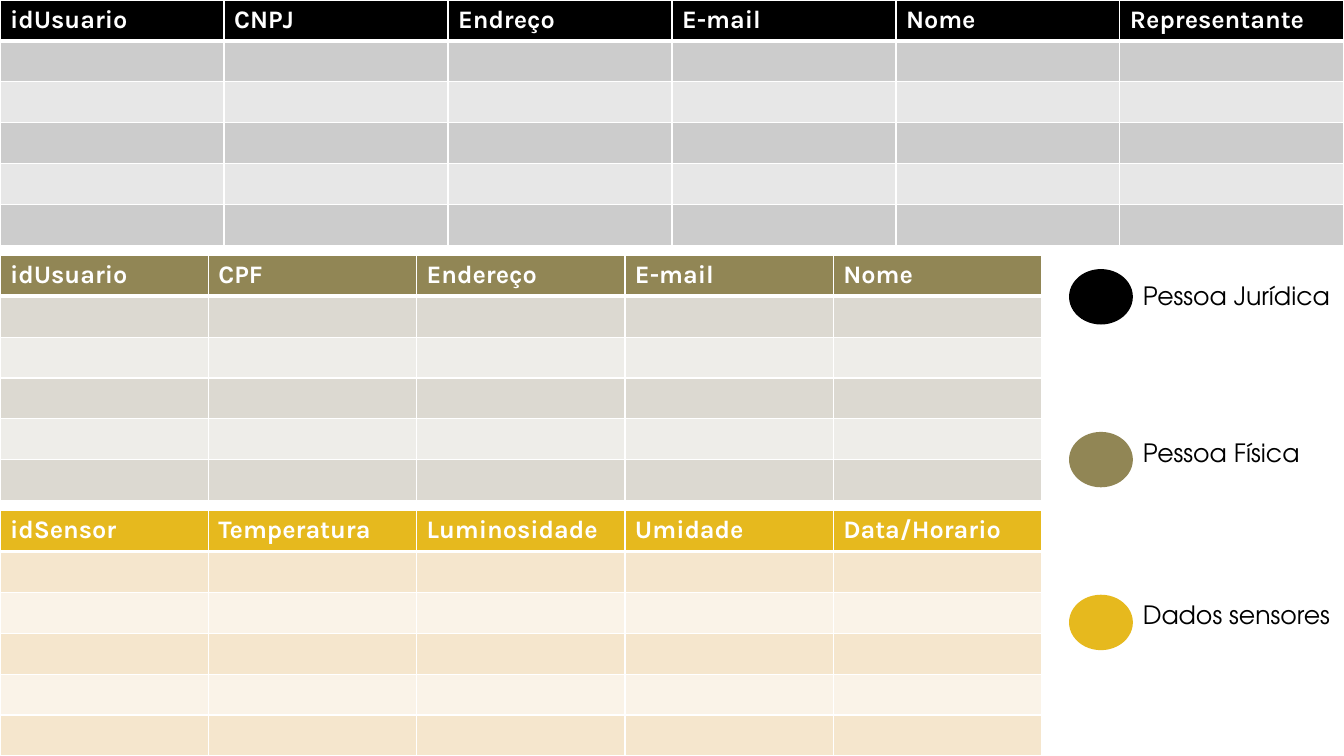
from typing import NamedTuple

from lxml.etree import SubElement
from pptx import Presentation
from pptx.dml.color import RGBColor
from pptx.enum.shapes import MSO_SHAPE
from pptx.oxml.ns import qn
from pptx.util import Pt

COLORS = {
    "white": "FFFFFF",
    "black": "000000",
    "black_dark": "CCCCCC",
    "black_light": "E7E7E7",
    "olive": "918655",
    "olive_dark": "DCD9D1",
    "olive_light": "EEEDE9",
    "gold": "E6B91E",
    "gold_dark": "F5E6CD",
    "gold_light": "FAF3E8",
}
SLIDE_W, SLIDE_H = 960, 540
ROWS, ROW_H = 6, 29.2
TABLE_STEP = 182.4
DOT_LEFT, DOT_TOP, DOT_STEP = 763.6, 192.2, 116.3
DOT_W, DOT_H = 45.6, 39.6
LABEL_LEFT, LABEL_H = 809.2, 29.1


class Entity(NamedTuple):
    label: str
    color: str
    columns: list[str]
    table_w: float
    label_top: float
    label_w: float


ENTITIES = [
    Entity("Pessoa Jurídica", "black",
           ["idUsuario", "CNPJ", "Endreço", "E-mail", "Nome", "Representante"],
           SLIDE_W, 196.6, 178.6),
    Entity("Pessoa Física", "olive",
           ["idUsuario", "CPF", "Endereço", "E-mail", "Nome"],
           744, 308.9, 159),
    Entity("Dados sensores", "gold",
           ["idSensor", "Temperatura", "Luminosidade", "Umidade", "Data/Horario"],
           744, 424.8, 159),
]


def rgb(name: str) -> RGBColor:
    return RGBColor.from_string(COLORS[name])


def set_font(p, face: str, color: str, bold: bool = False) -> None:
    p.font.name = face
    p.font.size = Pt(18)
    p.font.bold = bold
    p.font.color.rgb = rgb(color)


def add_borders(cell, row: int) -> None:
    """Draw white cell borders, thicker between the header and the body."""
    widths = {"lnL": 1, "lnR": 1,
              "lnT": 3 if row == 1 else 1, "lnB": 3 if row == 0 else 1}
    tc_pr = cell._tc.get_or_add_tcPr()
    for side, width in widths.items():
        ln = SubElement(tc_pr, qn(f"a:{side}"), w=str(Pt(width)))
        fill = SubElement(ln, qn("a:solidFill"))
        SubElement(fill, qn("a:srgbClr"), val=COLORS["white"])


def add_entity_table(slide, entity: Entity, top: float) -> None:
    count = len(entity.columns)
    table = slide.shapes.add_table(
        ROWS, count, Pt(0), Pt(top), Pt(entity.table_w), Pt(ROWS * ROW_H)).table
    for column in table.columns:
        column.width = Pt(entity.table_w / count)
    for r, row in enumerate(table.rows):
        row.height = Pt(ROW_H)
        shade = "" if r == 0 else "_dark" if r % 2 else "_light"
        for cell in row.cells:
            add_borders(cell, r)
            cell.fill.solid()
            cell.fill.fore_color.rgb = rgb(entity.color + shade)
    for c, heading in enumerate(entity.columns):
        p = table.cell(0, c).text_frame.paragraphs[0]
        p.text = heading
        set_font(p, "Karla", "white", bold=True)


def add_legend_dot(slide, entity: Entity, top: float) -> None:
    sp = slide.shapes.add_shape(
        MSO_SHAPE.OVAL, Pt(DOT_LEFT), Pt(top), Pt(DOT_W), Pt(DOT_H))
    sp.shadow.inherit = False
    sp.fill.solid()
    sp.fill.fore_color.rgb = rgb(entity.color)
    sp.line.fill.background()


def add_legend_label(slide, entity: Entity) -> None:
    tf = slide.shapes.add_textbox(
        Pt(LABEL_LEFT), Pt(entity.label_top),
        Pt(entity.label_w), Pt(LABEL_H)).text_frame
    tf.word_wrap = True
    p = tf.paragraphs[0]
    p.text = entity.label
    set_font(p, "TeX Gyre Adventor", "black")


def main() -> None:
    prs = Presentation()
    prs.slide_width, prs.slide_height = Pt(SLIDE_W), Pt(SLIDE_H)
    slide = prs.slides.add_slide(prs.slide_layouts[6])
    for i, entity in enumerate(ENTITIES):
        add_entity_table(slide, entity, i * TABLE_STEP)
        add_legend_dot(slide, entity, DOT_TOP + i * DOT_STEP)
        add_legend_label(slide, entity)
    prs.save("out.pptx")


if __name__ == "__main__":
    main()
